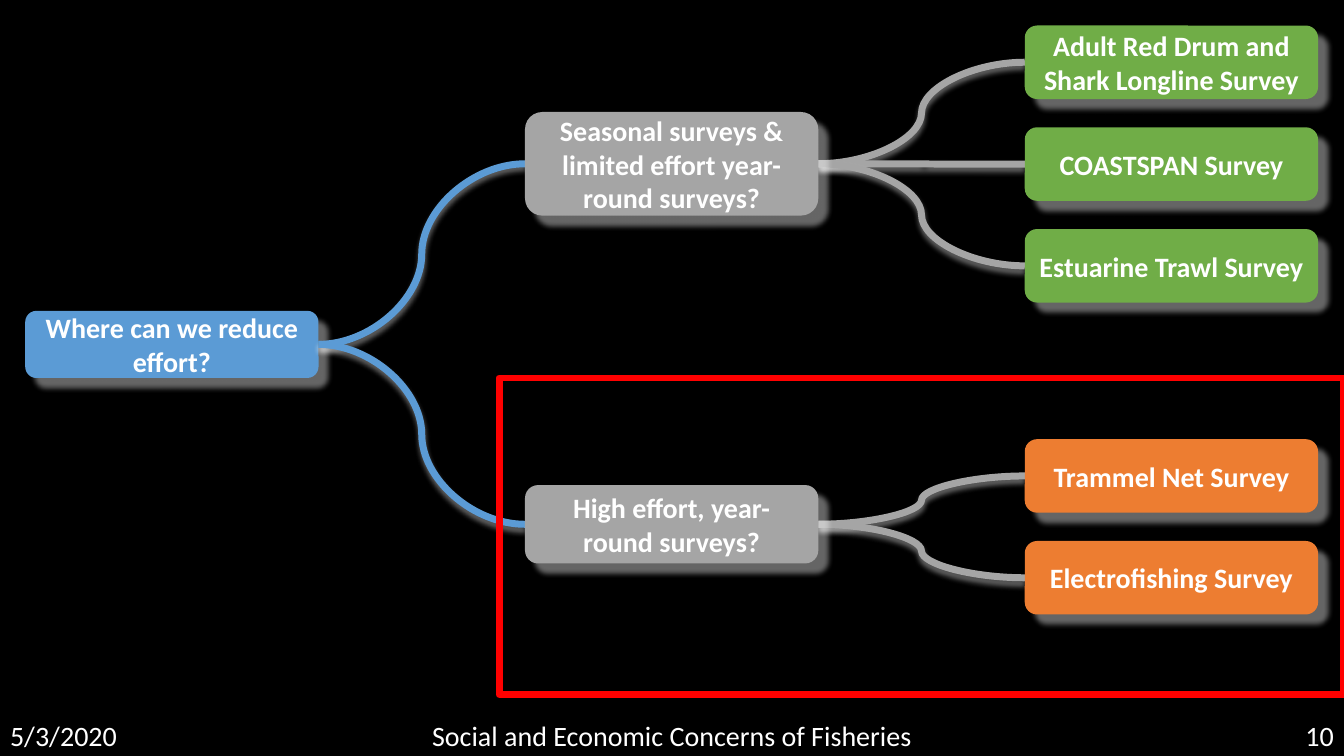
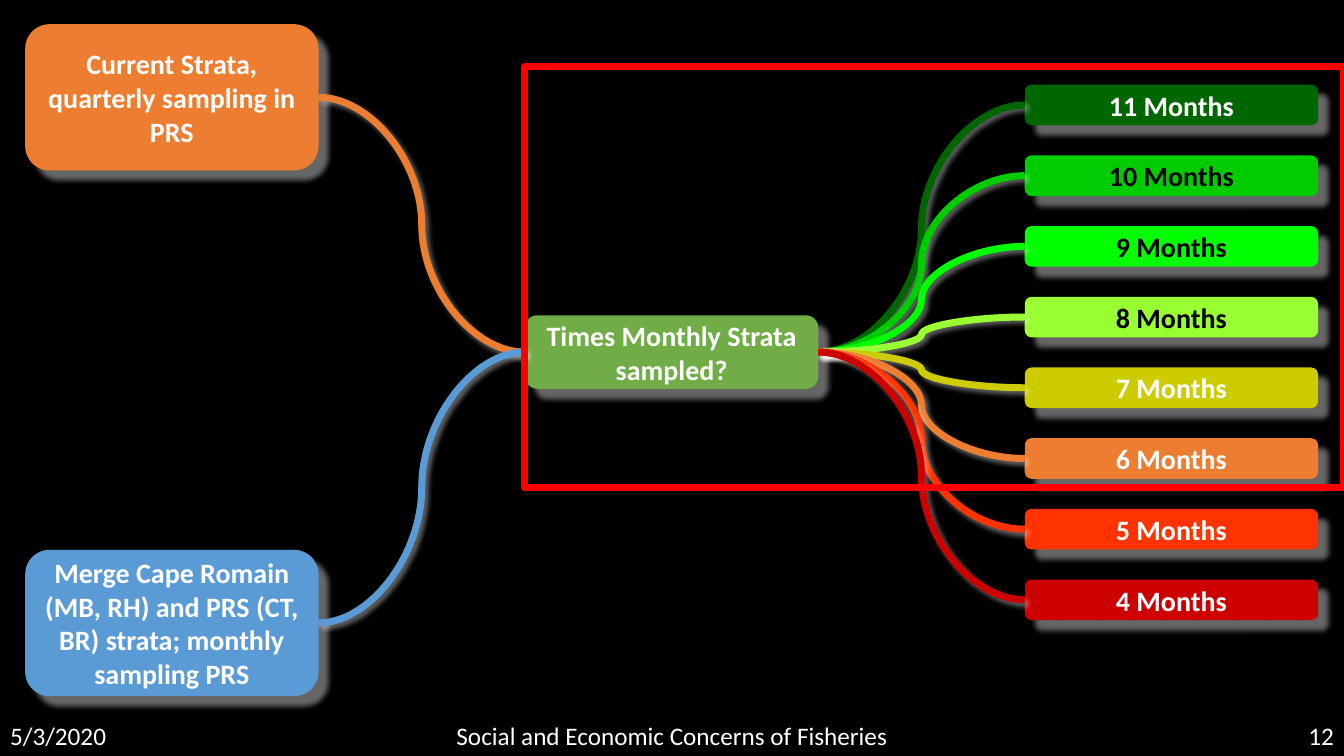
from lxml.etree import SubElement
from pptx import Presentation
from pptx.dml.color import RGBColor
from pptx.enum.shapes import MSO_CONNECTOR, MSO_SHAPE
from pptx.enum.shapes import PP_PLACEHOLDER as PH
from pptx.enum.text import MSO_ANCHOR, PP_ALIGN
from pptx.oxml.ns import qn
from pptx.util import Pt

BLACK = RGBColor(0x00, 0x00, 0x00)
WHITE = RGBColor(0xFF, 0xFF, 0xFF)
RED = RGBColor(0xFF, 0x00, 0x00)
BLUE = RGBColor(0x5B, 0x9B, 0xD5)
GRAY = RGBColor(0xA5, 0xA5, 0xA5)
GREEN = RGBColor(0x70, 0xAD, 0x47)
ORANGE = RGBColor(0xED, 0x7D, 0x31)
DARK_GREEN = RGBColor(0x00, 0x66, 0x00)
MID_GREEN = RGBColor(0x00, 0xCC, 0x00)
BRIGHT_GREEN = RGBColor(0x00, 0xFF, 0x00)
LIME = RGBColor(0x99, 0xFF, 0x33)
OLIVE = RGBColor(0xCC, 0xCC, 0x00)
RED_ORANGE = RGBColor(0xFF, 0x33, 0x00)
DARK_RED = RGBColor(0xCC, 0x00, 0x00)

FONT = "Calibri"
COLUMN_LEFTS = (18, 375, 732)
CARD_WIDTH = 209.5
CARD_HEIGHT = 52.5
LINE_WIDTH = 5
LEFT_SITE, RIGHT_SITE = 1, 3

FOOTERS = {
    PH.DATE: (0, 216, PP_ALIGN.LEFT),
    PH.FOOTER: (264, 432, PP_ALIGN.CENTER),
    PH.SLIDE_NUMBER: (744, 216, PP_ALIGN.RIGHT),
}


def write(shape, text, size, color, alignment, bold=False):
    frame = shape.text_frame
    frame.word_wrap = True
    frame.vertical_anchor = MSO_ANCHOR.MIDDLE
    frame.text = text
    paragraph = frame.paragraphs[0]
    paragraph.alignment = alignment
    font = paragraph.runs[0].font
    font.name, font.size, font.bold = FONT, Pt(size), bold
    font.color.rgb = color


def add_glow_shadow(shape, distance, angle):
    """Give a filled or outlined shape a soft white outer shadow."""
    effects = SubElement(shape._element.spPr, qn("a:effectLst"))
    shadow = SubElement(effects, qn("a:outerShdw"), blurRad=str(Pt(4)),
                        dist=str(Pt(distance)), dir=str(angle * 60000),
                        algn="tl", rotWithShape="0")
    color = SubElement(shadow, qn("a:srgbClr"), val=str(WHITE))
    SubElement(color, qn("a:alpha"), val="40000")


def add_card(slide, column, middle, text, fill, height=CARD_HEIGHT, color=WHITE):
    """Add a rounded card centred vertically on middle."""
    card = slide.shapes.add_shape(
        MSO_SHAPE.ROUNDED_RECTANGLE, Pt(COLUMN_LEFTS[column]),
        Pt(middle - height / 2), Pt(CARD_WIDTH), Pt(height))
    card.fill.solid()
    card.fill.fore_color.rgb = fill
    card.line.fill.background()
    add_glow_shadow(card, 10, 45)
    write(card, text, 20, color, PP_ALIGN.CENTER, bold=True)
    return card


def add_link(slide, start, end, color, shadow_angle):
    link = slide.shapes.add_connector(MSO_CONNECTOR.CURVE, 0, 0, 0, 0)
    link.begin_connect(start, RIGHT_SITE)
    link.end_connect(end, LEFT_SITE)
    link.line.color.rgb = color
    link.line.width = Pt(LINE_WIDTH)
    add_glow_shadow(link, 3, shadow_angle)
    return link


def add_highlight(slide, left, top, width, height):
    frame = slide.shapes.add_shape(
        MSO_SHAPE.RECTANGLE, Pt(left), Pt(top), Pt(width), Pt(height))
    frame.fill.background()
    frame.line.color.rgb = RED
    frame.line.width = Pt(LINE_WIDTH)
    frame.shadow.inherit = False


def add_slide(presentation, number, footer_size):
    """Add a blank slide with date, footer and slide number."""
    layout = presentation.slide_layouts.get_by_name("Blank")
    slide = presentation.slides.add_slide(layout)
    texts = {
        PH.DATE: "5/3/2020",
        PH.FOOTER: "Social and Economic Concerns of Fisheries",
        PH.SLIDE_NUMBER: str(number),
    }
    for placeholder in layout.placeholders:
        slide.shapes.clone_placeholder(placeholder)
    for shape in slide.placeholders:
        kind = shape.placeholder_format.type
        left, width, alignment = FOOTERS[kind]
        shape.left, shape.top = Pt(left), Pt(511)
        shape.width, shape.height = Pt(width), Pt(29)
        write(shape, texts[kind], footer_size, WHITE, alignment)
    return slide


def build_effort_slide(presentation):
    slide = add_slide(presentation, 10, 20)
    branches = (
        ("Seasonal surveys & limited effort year-round surveys?", 117, 74, GREEN, 44.5,
         ("Adult Red Drum and Shark Longline Survey", "COASTSPAN Survey",
          "Estuarine Trawl Survey")),
        ("High effort, year-round surveys?", 374.5, 56, ORANGE, 340,
         ("Trammel Net Survey", "Electrofishing Survey")),
    )
    root = add_card(slide, 0, 246, "Where can we reduce effort?", BLUE, 48)
    links = []
    for question, middle, height, fill, first_middle, surveys in branches:
        branch = add_card(slide, 1, middle, question, GRAY, height)
        links.append(add_link(slide, root, branch, BLUE, 90))
        for row, survey in enumerate(surveys):
            leaf = add_card(slide, 2, first_middle + row * 72.7, survey, fill)
            links.append(add_link(slide, branch, leaf, GRAY, 90))
    # Links lie above the root card and below all the others
    for link in reversed(links):
        root._element.addnext(link._element)
    add_highlight(slide, 356.5, 270, 603.5, 226)


def build_months_slide(presentation):
    slide = add_slide(presentation, 12, 18)
    months = (
        (11, DARK_GREEN, WHITE), (10, MID_GREEN, BLACK), (9, BRIGHT_GREEN, BLACK),
        (8, LIME, BLACK), (7, OLIVE, WHITE), (6, ORANGE, WHITE),
        (5, RED_ORANGE, WHITE), (4, DARK_RED, WHITE),
    )
    current = add_card(slide, 0, 69.5, "Current Strata, quarterly sampling in PRS",
                       ORANGE, 104.5)
    merged = add_card(
        slide, 0, 445,
        "Merge Cape Romain (MB, RH) and PRS (CT, BR) strata; monthly sampling PRS",
        BLUE, 104.5)
    question = add_card(slide, 1, 251.5, "Times Monthly Strata sampled?", GREEN)
    cards = [
        add_card(slide, 2, 75 + row * 50.5, f"{count} Months", fill, 29, color)
        for row, (count, fill, color) in enumerate(months)
    ]
    add_link(slide, current, question, ORANGE, 45)
    add_link(slide, merged, question, BLUE, 45)
    for card, (_, fill, _) in zip(cards, months):
        add_link(slide, question, card, fill, 45)
    add_highlight(slide, 375, 47.5, 585, 301)


def main():
    presentation = Presentation()
    presentation.slide_width, presentation.slide_height = Pt(960), Pt(540)
    background = presentation.slide_master.background.fill
    background.solid()
    background.fore_color.rgb = BLACK
    build_effort_slide(presentation)
    build_months_slide(presentation)
    presentation.save("out.pptx")


if __name__ == "__main__":
    main()
